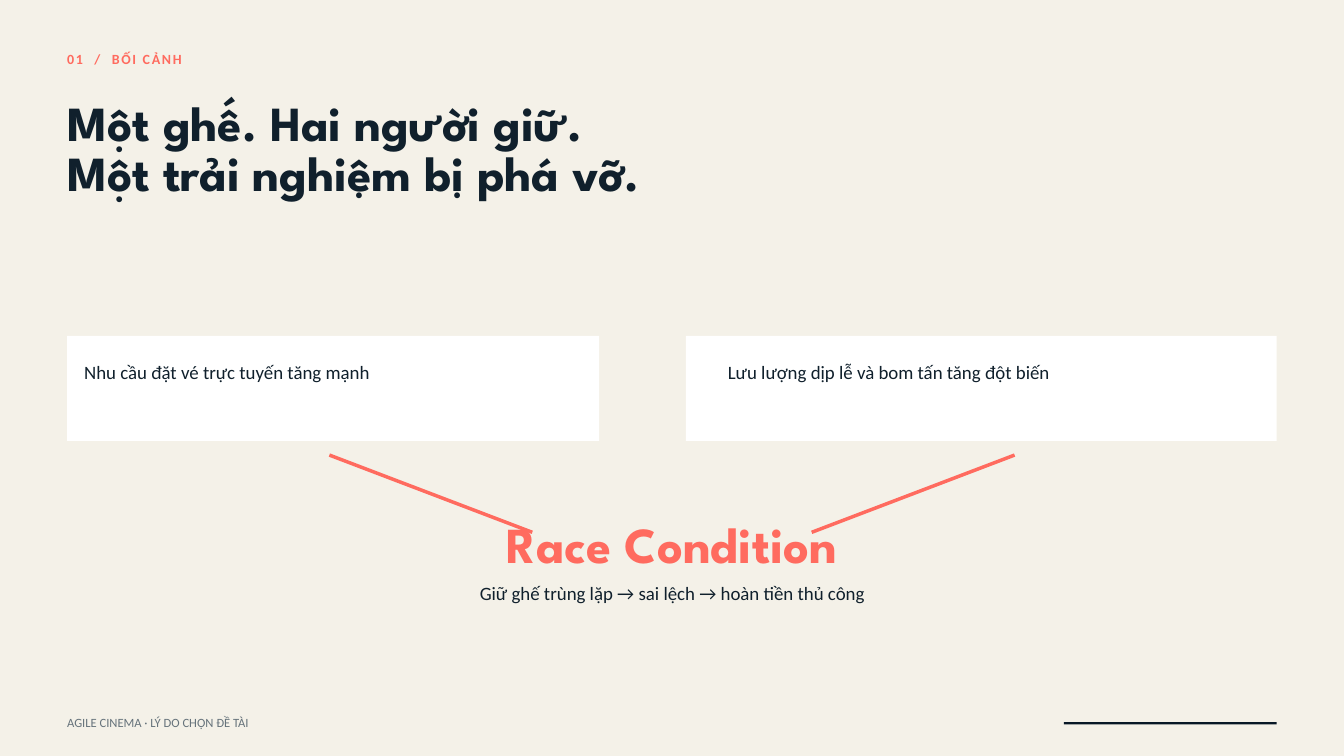
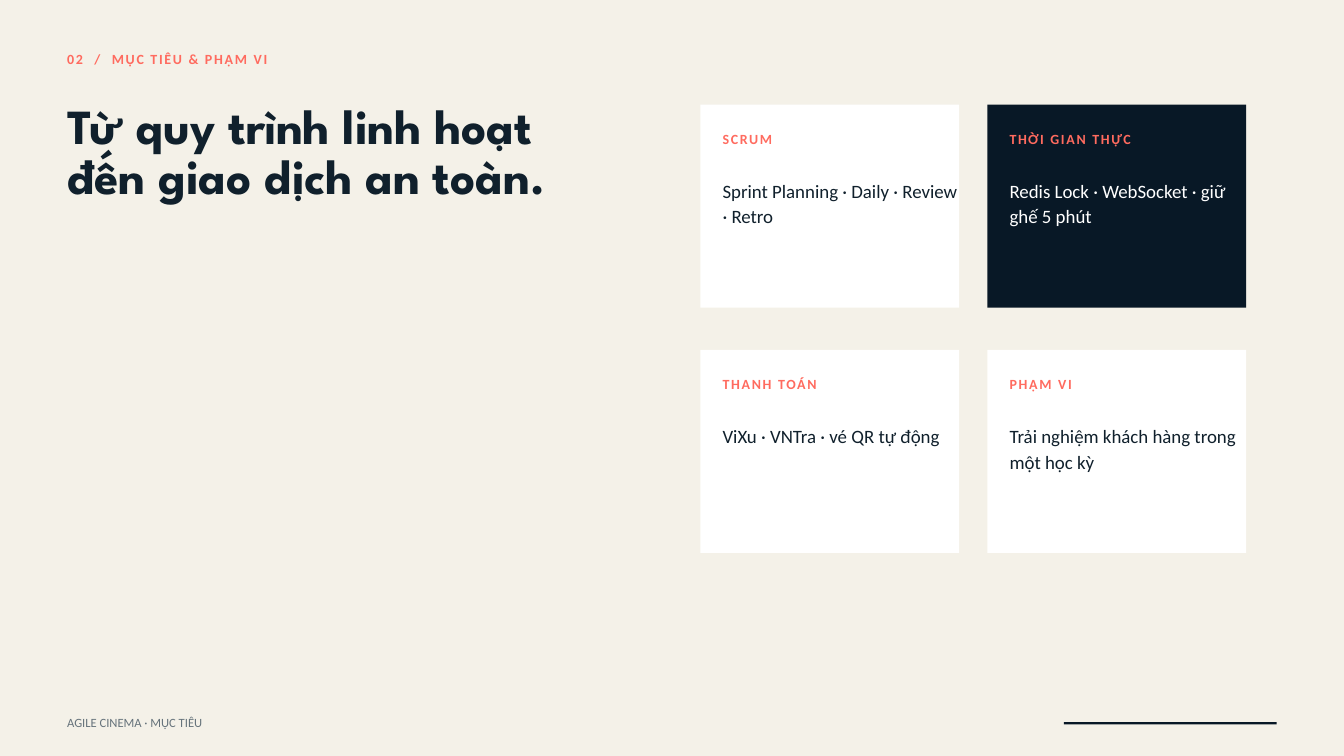
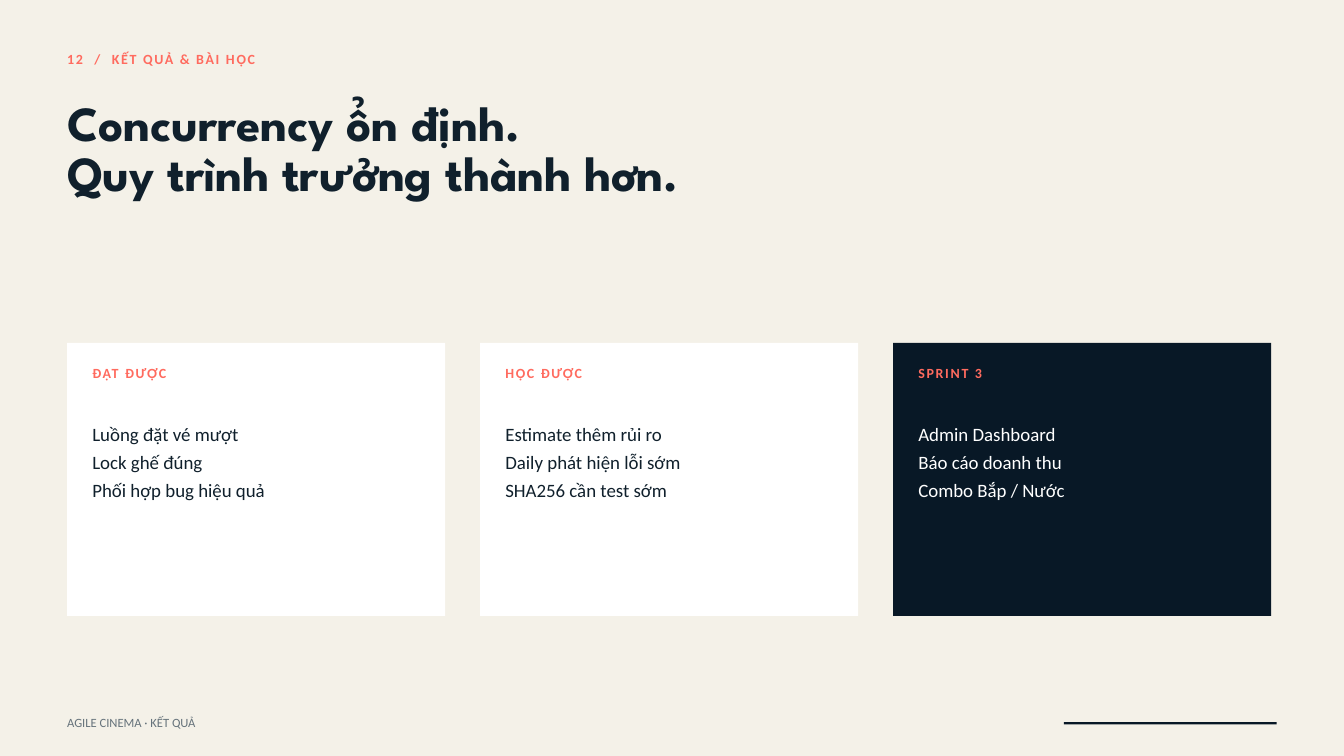
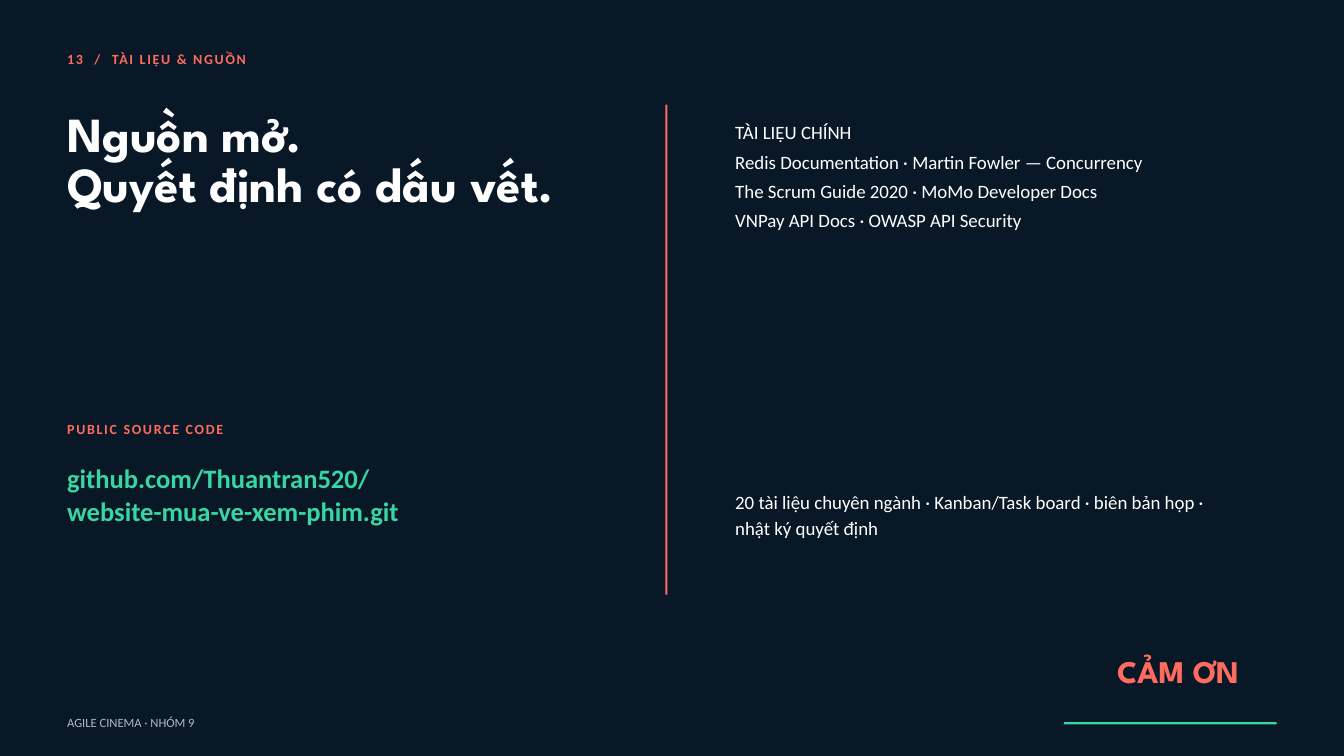
from collections import namedtuple

from lxml.etree import SubElement
from pptx import Presentation
from pptx.dml.color import RGBColor
from pptx.enum.shapes import MSO_CONNECTOR, MSO_SHAPE
from pptx.enum.text import MSO_ANCHOR, MSO_AUTO_SIZE, PP_ALIGN
from pptx.oxml.ns import qn
from pptx.util import Cm, Pt

CREAM = RGBColor(0xF4, 0xF1, 0xE8)
NAVY = RGBColor(0x08, 0x18, 0x26)
INK = RGBColor(0x10, 0x20, 0x2C)
CORAL = RGBColor(0xFF, 0x6B, 0x5F)
MINT = RGBColor(0x37, 0xD6, 0xA2)
WHITE = RGBColor(0xFF, 0xFF, 0xFF)
GREY = RGBColor(0x66, 0x73, 0x7B)
PALE_GREY = RGBColor(0xAE, 0xBA, 0xC2)

HEAD_FONT, BODY_FONT = "League Spartan", "Calibri"
MARGIN = 2.54
COMPARISON, TITLE_ONLY, TITLE_CONTENT = 4, 5, 1

Box = namedtuple("Box", "x y w h")
Look = namedtuple("Look", "font size leading bold spacing", defaults=(False, 0))
Theme = namedtuple("Theme", "back title note rule")

LIGHT = Theme(CREAM, INK, GREY, NAVY)
DARK = Theme(NAVY, WHITE, PALE_GREY, MINT)

TITLE = Look(HEAD_FONT, 52.5, 53.5, True)
CLAIM = Look(HEAD_FONT, 54, 75.6, True)
THANKS = Look(HEAD_FONT, 33.8, 47.2, True)
LABEL = Look(BODY_FONT, 15, 21, True, 1.8)
BODY = Look(BODY_FONT, 20.2, 27.3)
LIST = BODY._replace(leading=30.4)
SOURCES = BODY._replace(leading=31.4)
LINK = Look(BODY_FONT, 28.5, 35.6, True)
FOOTER = Look(BODY_FONT, 13.5, 18.9)


def place(shape, box):
    shape.left, shape.top, shape.width, shape.height = map(Cm, box)


def write(shape, text, look, color, align=PP_ALIGN.LEFT):
    """Fill a text box or placeholder, one paragraph for each line."""
    tf = shape.text_frame
    tf.text = text
    tf.word_wrap = True
    tf.auto_size = MSO_AUTO_SIZE.SHAPE_TO_FIT_TEXT
    tf.vertical_anchor = MSO_ANCHOR.TOP
    tf.margin_left = tf.margin_top = tf.margin_right = tf.margin_bottom = 0
    for p in tf.paragraphs:
        p.alignment = align
        p.line_spacing = Pt(look.leading)
        p.space_before = p.space_after = Pt(0)
        for r in p.runs:
            r.font.name = look.font
            r.font.size = Pt(look.size)
            r.font.bold = look.bold
            r.font.color.rgb = color
            if look.spacing:
                r.font._element.set("spc", str(round(look.spacing * 100)))


def text_box(s, box, text, look, color, align=PP_ALIGN.LEFT):
    write(s.shapes.add_textbox(*map(Cm, box)), text, look, color, align)


def plain_list(ph, box, text, look, color):
    """Put an unbulleted list in a body placeholder, in front of the cards."""
    place(ph, box)
    write(ph, text, look, color)
    for p in ph.text_frame.paragraphs:
        pPr = p._p.get_or_add_pPr()
        pPr.set("marL", "0")
        pPr.set("indent", "0")
        SubElement(pPr, qn("a:buNone"))
    ph.element.getparent().append(ph.element)


def panel(s, box, color):
    sp = s.shapes.add_shape(MSO_SHAPE.RECTANGLE, *map(Cm, box))
    sp.shadow.inherit = False
    sp.fill.solid()
    sp.fill.fore_color.rgb = color
    sp.line.fill.background()


def coral_line(s, x1, y1, x2, y2):
    line = s.shapes.add_connector(MSO_CONNECTOR.STRAIGHT, *map(Cm, (x1, y1, x2, y2)))
    line.line.color.rgb = CORAL
    line.line.width = Pt(3.75)
    SubElement(line._element.spPr, qn("a:effectLst"))


def card(s, box, label, label_box, dark):
    """Draw a labelled card; label_box is relative to it. Return its text colour."""
    panel(s, box, NAVY if dark else WHITE)
    text_box(s, inside(box, label_box), label, LABEL, CORAL)
    return WHITE if dark else INK


def inside(box, part):
    return part._replace(x=box.x + part.x, y=box.y + part.y)


def base_slide(prs, layout, theme, eyebrow, eyebrow_w, title, title_box, footer):
    """Add a slide with background, eyebrow, title, footer note and footer rule."""
    s = prs.slides.add_slide(prs.slide_layouts[layout])
    s.background.fill.solid()
    s.background.fill.fore_color.rgb = theme.back
    text_box(s, Box(MARGIN, 1.8, eyebrow_w, 0.74), eyebrow, LABEL, CORAL)
    place(s.shapes.title, title_box)
    write(s.shapes.title, title, TITLE, theme.title)
    text_box(s, Box(MARGIN, 26.92, 15.88, 0.61), f"AGILE CINEMA · {footer}",
             FOOTER, theme.note)
    panel(s, Box(40.21, 27.3, 8.05, 0.08), theme.rule)
    return s


def context_slide(prs):
    s = base_slide(prs, TITLE_ONLY, LIGHT, "01  /  BỐI CẢNH", 15.88,
                   "Một ghế. Hai người giữ.\nMột trải nghiệm bị phá vỡ.",
                   Box(MARGIN, 3.84, 30.43, 3.84), "LÝ DO CHỌN ĐỀ TÀI")
    causes = [
        (Box(MARGIN, 12.7, 20.11, 3.97), Box(0.64, 0.84, 17.2, 0.91),
         "Nhu cầu đặt vé trực tuyến tăng mạnh"),
        (Box(25.93, 12.7, 22.33, 3.97), Box(1.58, 0.84, 19.05, 0.91),
         "Lưu lượng dịp lễ và bom tấn tăng đột biến"),
    ]
    for box, text_area, text in causes:
        panel(s, box, WHITE)
        text_box(s, inside(box, text_area), text, BODY, INK)
    centre = 25.4
    for side in (-1, 1):
        coral_line(s, centre + side * 12.95, 17.2, centre + side * 5.28, 20.12)
    text_box(s, Box(17.2, 19.02, 16.4, 2.57), "Race Condition", CLAIM, CORAL,
             PP_ALIGN.CENTER)
    text_box(s, Box(15.08, 21.87, 20.64, 0.91),
             "Giữ ghế trùng lặp → sai lệch → hoàn tiền thủ công", BODY, INK,
             PP_ALIGN.CENTER)


def scope_slide(prs):
    s = base_slide(prs, TITLE_ONLY, LIGHT, "02  /  MỤC TIÊU & PHẠM VI", 18.52,
                   "Từ quy trình linh hoạt\nđến giao dịch an toàn.",
                   Box(MARGIN, 3.96, 23.83, 3.84), "MỤC TIÊU")
    goals = [
        ("SCRUM", "Sprint Planning · Daily · Review · Retro"),
        ("THỜI GIAN THỰC", "Redis Lock · WebSocket · giữ ghế 5 phút"),
        ("THANH TOÁN", "ViXu · VNTra · vé QR tự động"),
        ("PHẠM VI", "Trải nghiệm khách hàng trong một học kỳ"),
    ]
    for i, (label, text) in enumerate(goals):
        row, col = divmod(i, 2)
        box = Box(26.47 + col * 10.85, 3.96 + row * 9.27, 9.78, 7.67)
        color = card(s, box, label, Box(0.84, 0.85, 8.99, 0.71), dark=i == 1)
        text_box(s, inside(box, Box(0.84, 2.72, 8.99, 1.85)), text, BODY, color)


def results_slide(prs):
    s = base_slide(prs, COMPARISON, LIGHT, "12  /  KẾT QUẢ & BÀI HỌC", 21.16,
                   "Concurrency ổn định.\nQuy trình trưởng thành hơn.",
                   Box(MARGIN, 3.84, 29.11, 3.84), "KẾT QUẢ")
    columns = [
        ("ĐẠT ĐƯỢC", "Luồng đặt vé mượt\nLock ghế đúng\nPhối hợp bug hiệu quả"),
        ("HỌC ĐƯỢC", "Estimate thêm rủi ro\nDaily phát hiện lỗi sớm\nSHA256 cần test sớm"),
        ("SPRINT 3", "Admin Dashboard\nBáo cáo doanh thu\nCombo Bắp / Nước"),
    ]
    *bodies, spare = list(s.placeholders)[1:]
    spare.element.getparent().remove(spare.element)
    for i, (ph, (label, text)) in enumerate(zip(bodies, columns)):
        box = Box(MARGIN + i * 15.61, 12.96, 14.29, 10.32)
        color = card(s, box, label, Box(0.95, 0.73, 12.7, 0.71), dark=i == 2)
        plain_list(ph, inside(box, Box(0.95, 2.79, 12.45, 3.07)), text, LIST, color)


def sources_slide(prs):
    s = base_slide(prs, TITLE_CONTENT, DARK, "13  /  TÀI LIỆU & NGUỒN", 18.52,
                   "Nguồn mở.\nQuyết định có dấu vết.",
                   Box(MARGIN, 4.24, 22.76, 3.84), "NHÓM 9")
    panel(s, Box(25.15, 3.96, 0.08, 18.52), CORAL)
    right = 27.79
    plain_list(s.placeholders[1], Box(right, 4.32, 18.52, 4.27),
               "TÀI LIỆU CHÍNH\n"
               "Redis Documentation · Martin Fowler — Concurrency\n"
               "The Scrum Guide 2020 · MoMo Developer Docs\n"
               "VNPay API Docs · OWASP API Security", SOURCES, WHITE)
    text_box(s, Box(MARGIN, 15.77, 11.91, 0.74), "PUBLIC SOURCE CODE", LABEL, CORAL)
    text_box(s, Box(MARGIN, 17.42, 21.16, 2.46),
             "github.com/Thuantran520/\nwebsite-mua-ve-xem-phim.git", LINK, MINT)
    text_box(s, Box(right, 18.44, 18.52, 1.88),
             "20 tài liệu chuyên ngành · Kanban/Task board · biên bản họp · "
             "nhật ký quyết định", BODY, WHITE)
    text_box(s, Box(37.85, 24.41, 8.99, 1.57), "CẢM ƠN", THANKS, CORAL,
             PP_ALIGN.RIGHT)


def main():
    prs = Presentation()
    prs.slide_width, prs.slide_height = Cm(50.8), Cm(28.575)
    for build in (context_slide, scope_slide, results_slide, sources_slide):
        build(prs)
    prs.save("out.pptx")


if __name__ == "__main__":
    main()
